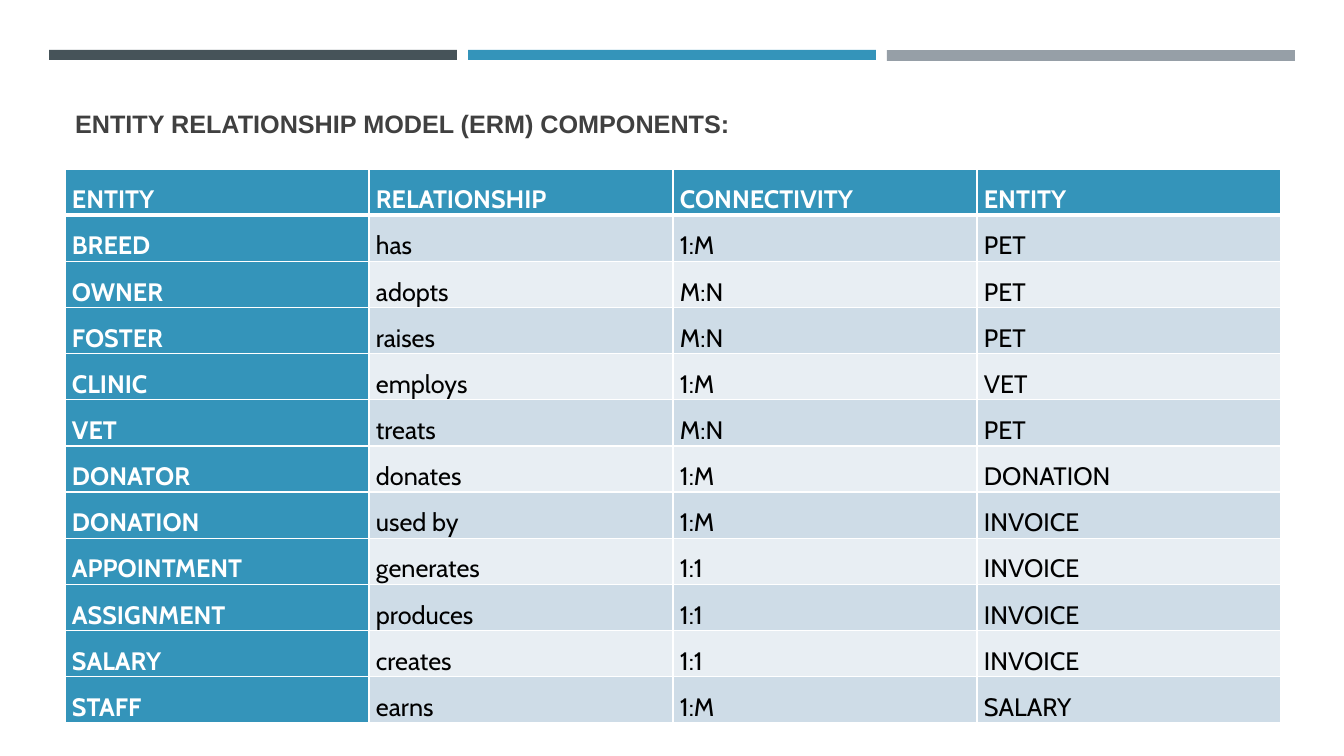
import pptx
import pptx.util
import pptx.dml.color
import pptx.enum.shapes
import pptx.enum.text
import lxml.etree
import pptx.oxml.ns

RGB = pptx.dml.color.RGBColor
SLATE = RGB(0x46, 0x53, 0x59)
BLUE = RGB(0x34, 0x94, 0xBA)
GRAY = RGB(0x96, 0x9F, 0xA7)
DARK = RGB(0x40, 0x40, 0x40)
WHITE = RGB(0xFF, 0xFF, 0xFF)
BLACK = RGB(0, 0, 0)
BANDS = (RGB(0xE8, 0xEE, 0xF3), RGB(0xCE, 0xDC, 0xE7))

TITLE = "ENTITY RELATIONSHIP MODEL (ERM) COMPONENTS:"
BARS = ((SLATE, 10), (BLUE, 10), (GRAY, 11))
ROWS = (
    ("ENTITY", "RELATIONSHIP", "CONNECTIVITY", "ENTITY"),
    ("BREED", "has", "1:M", "PET"),
    ("OWNER", "adopts", "M:N", "PET"),
    ("FOSTER", "raises", "M:N", "PET"),
    ("CLINIC", "employs", "1:M", "VET"),
    ("VET", "treats", "M:N", "PET"),
    ("DONATOR", "donates", "1:M", "DONATION"),
    ("DONATION", "used by", "1:M", "INVOICE"),
    ("APPOINTMENT", "generates", "1:1", "INVOICE"),
    ("ASSIGNMENT", "produces", "1:1", "INVOICE"),
    ("SALARY", "creates", "1:1", "INVOICE"),
    ("STAFF", "earns", "1:M", "SALARY"),
)
LEFT, WIDTH = 65, 1216
ROW_H = 43


def px(n):
    return pptx.util.Emu(round(n * 914400 / 100.8))


def style(para, face, color, bold):
    font = para.runs[0].font
    font.name, font.size, font.bold = face, pptx.util.Pt(18), bold
    font.color.rgb = color


def edge(cell, sides):
    props = cell._tc.get_or_add_tcPr()
    for i, (side, width) in enumerate(sides.items()):
        line = lxml.etree.Element(pptx.oxml.ns.qn("a:ln" + side), w=str(pptx.util.Pt(width)))
        fill = lxml.etree.SubElement(line, pptx.oxml.ns.qn("a:solidFill"))
        lxml.etree.SubElement(fill, pptx.oxml.ns.qn("a:srgbClr"), val=str(WHITE))
        props.insert(i, line)


def add_bars(slide):
    for i, (color, high) in enumerate(BARS):
        bar = slide.shapes.add_shape(
            pptx.enum.shapes.MSO_SHAPE.RECTANGLE, px(49 + 419 * i), px(50), px(408), px(high))
        bar.shadow.inherit = False
        bar.fill.solid()
        bar.fill.fore_color.rgb = color
        bar.line.fill.background()


def add_title(slide):
    title = slide.shapes.title
    title.left, title.top, title.width, title.height = px(LEFT), px(81), px(WIDTH), px(109)
    frame = title.text_frame
    frame.text = TITLE
    frame.vertical_anchor = pptx.enum.text.MSO_ANCHOR.BOTTOM
    frame.margin_bottom = px(51)
    para = frame.paragraphs[0]
    para.alignment = pptx.enum.text.PP_ALIGN.LEFT
    style(para, "Arial", DARK, True)


def add_grid(slide):
    table = slide.shapes.add_table(
        len(ROWS), len(ROWS[0]), px(LEFT), px(169), px(WIDTH), px(ROW_H * len(ROWS))).table
    for r, row in enumerate(ROWS):
        table.rows[r].height = px(ROW_H)
        for c, text in enumerate(row):
            cell = table.cell(r, c)
            head = r == 0 or c == 0
            cell.margin_left = cell.margin_right = px(7)
            cell.margin_top = cell.margin_bottom = 0
            cell.fill.solid()
            cell.fill.fore_color.rgb = BLUE if head else BANDS[r % 2]
            edge(cell, {"L": 1, "R": 1, "T": 3 if r == 1 else 1, "B": 3 if r == 0 else 1})
            cell.text_frame.text = text
            para = cell.text_frame.paragraphs[0]
            para.line_spacing = 1.5
            style(para, "Cabin", WHITE if head else BLACK, head)


def main():
    deck = pptx.Presentation()
    deck.slide_width, deck.slide_height = px(1344), px(756)
    slide = deck.slides.add_slide(deck.slide_layouts[5])
    add_bars(slide)
    add_title(slide)
    add_grid(slide)
    deck.save("out.pptx")


if __name__ == "__main__":
    main()
